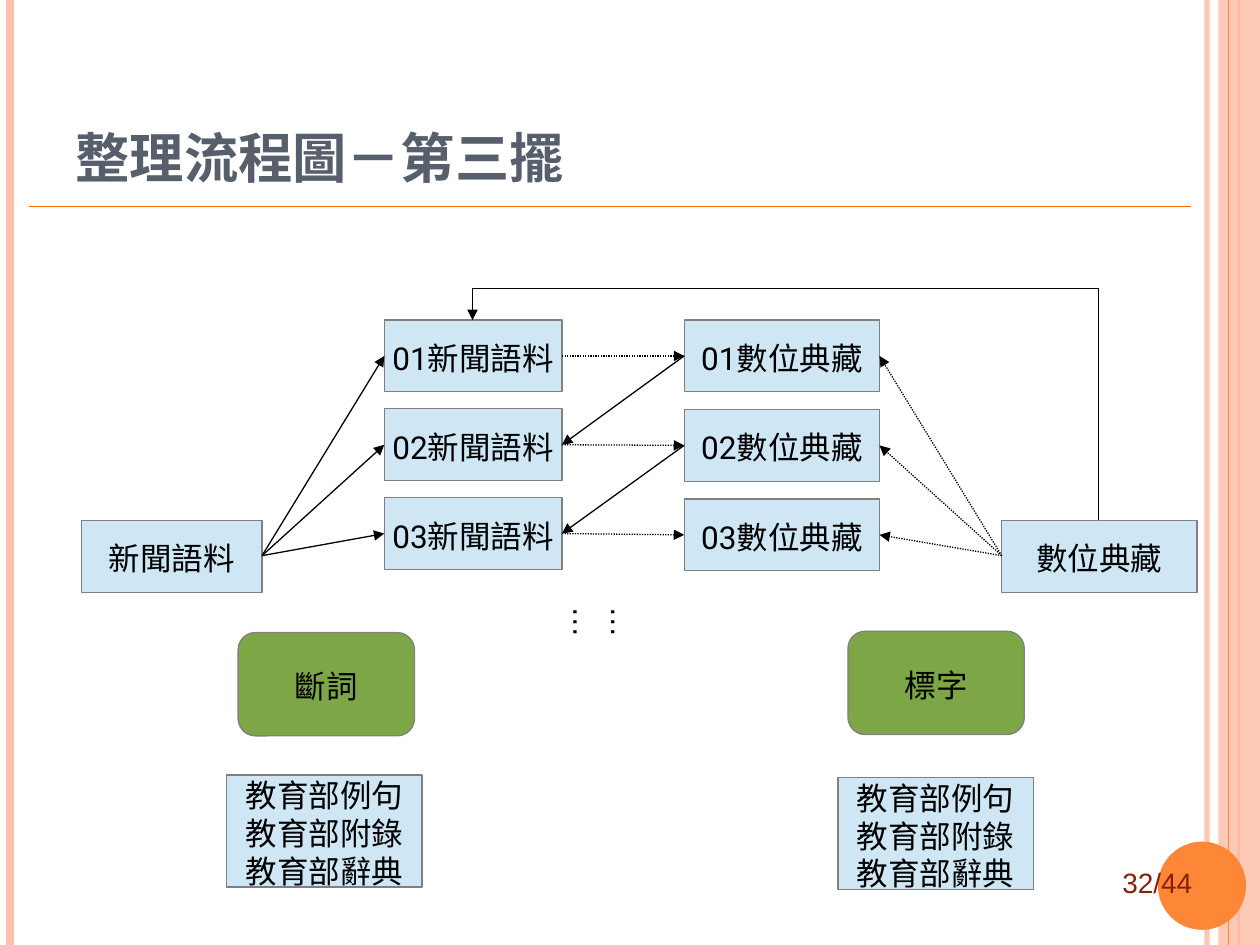
from lxml import etree
from pptx import Presentation
from pptx import util as u
from pptx.dml.color import RGBColor
from pptx.enum import dml, shapes, text
from pptx.oxml import ns

Inches = u.Inches
BLACK = RGBColor(0, 0, 0)
GREY = RGBColor(0x80, 0x80, 0x80)
SKY = RGBColor(0xCF, 0xE7, 0xF5)
GREEN = RGBColor(0x7D, 0xA6, 0x47)
PEACH = RGBColor(0xFE, 0xC3, 0xAE)
ORANGE = RGBColor(0xFE, 0x86, 0x37)
RULE = RGBColor(0xFF, 0x69, 0x03)
SLATE = RGBColor(0x57, 0x5F, 0x6D)
MAROON = RGBColor(0x86, 0x21, 0x10)

PROCESS = shapes.MSO_SHAPE.FLOWCHART_PROCESS
ROUNDED = shapes.MSO_SHAPE.FLOWCHART_ALTERNATE_PROCESS
BOX_HEIGHT = 0.57
THIN = 0.74
NEWS = [("新聞", "Arial"), ("語料", "Roboto")]
ARCHIVE = "數位典藏"
SOURCES = ["教育部例句", "教育部附錄", "教育部辭典"]


def child(parent, tag, **attributes):
    return etree.SubElement(parent, ns.qn(tag), **attributes)


def set_alpha(element, percent):
    color = next(element.iter(ns.qn("a:srgbClr")))
    child(color, "a:alpha", val=str(percent * 1000))


def add_span(para, words, font="Roboto", size=18, color=BLACK, bold=False):
    span = para.add_run()
    span.text = words
    span.font.name = font
    span.font.size = u.Pt(size)
    span.font.bold = bold
    span.font.color.rgb = color
    child(span.font._element, "a:ea", typeface=font)


def set_margins(frame, left, top, right, bottom):
    frame.margin_left, frame.margin_top = Inches(left), Inches(top)
    frame.margin_right, frame.margin_bottom = Inches(right), Inches(bottom)


def add_plain(page, kind, place, fill):
    shape = page.shapes.add_shape(kind, *map(Inches, place))
    shape.shadow.inherit = False
    shape.fill.solid()
    shape.fill.fore_color.rgb = fill
    shape.line.fill.background()
    return shape


def add_box(page, place, paras, kind=PROCESS, fill=SKY):
    """Each paragraph is a list of (words, font) pairs."""
    box = add_plain(page, kind, place, fill)
    box.line.color.rgb = GREY
    box.line.width = u.Pt(THIN)
    frame = box.text_frame
    frame.word_wrap = False
    frame.vertical_anchor = text.MSO_ANCHOR.MIDDLE
    set_margins(frame, 0.09, 0.07, 0.09, 0.04)
    for i, spans in enumerate(paras):
        para = frame.add_paragraph() if i else frame.paragraphs[0]
        para.alignment = text.PP_ALIGN.CENTER
        for words, font in spans:
            add_span(para, words, font)


def add_line(page, start, end, color=BLACK, width=THIN,
             kind=shapes.MSO_CONNECTOR.STRAIGHT):
    line = page.shapes.add_connector(kind, *map(Inches, start + end))
    line.line.color.rgb = color
    line.line.width = u.Pt(width)
    child(line._element.spPr, "a:effectLst")
    return line


def add_arrow(page, start, end, dotted=False, **options):
    arrow = add_line(page, start, end, **options)
    if dotted:
        arrow.line.dash_style = dml.MSO_LINE.ROUND_DOT
    child(arrow.line._get_or_add_ln(), "a:tailEnd", type="triangle")
    return arrow


def add_text(page, place, words, margins, **style):
    box = page.shapes.add_textbox(*map(Inches, place))
    box.text_frame.word_wrap = True
    set_margins(box.text_frame, *margins)
    add_span(box.text_frame.paragraphs[0], words, "Arial", **style)
    return box.text_frame


def add_frame(page):
    # Edge bands, title rule and page number
    set_alpha(add_line(page, (9.58, 0), (9.58, 7.5), PEACH, 3)._element, 93)
    add_line(page, (0.08, 0), (0.08, 7.5), PEACH, 4.51)
    add_line(page, (9.83, 0), (9.83, 7.5), ORANGE, 1.5)
    band = add_plain(page, shapes.MSO_SHAPE.RECTANGLE, (9.67, 0, 0.33, 7.5), PEACH)
    set_alpha(band._element, 87)
    add_line(page, (9.75, 0), (9.75, 7.5), ORANGE, THIN)
    add_line(page, (0.23, 1.64), (9.45, 1.64), RULE, 0.99)
    add_plain(page, shapes.MSO_SHAPE.OVAL, (9.19, 6.68, 0.7, 0.7), ORANGE)
    add_text(page, (8.81, 6.82, 1.19, 0.37), "32/44", (0.1, 0.05, 0.1, 0.05),
             size=16, color=MAROON)


def add_title(page, words):
    title = page.shapes.title
    title.left, title.top = Inches(0.5), Inches(0.3)
    title.width, title.height = Inches(8.64), Inches(1.25)
    frame = title.text_frame
    frame.vertical_anchor = text.MSO_ANCHOR.BOTTOM
    frame.auto_size = text.MSO_AUTO_SIZE.NONE
    set_margins(frame, 0.1, 0.05, 0.1, 0.05)
    frame.paragraphs[0].alignment = text.PP_ALIGN.LEFT
    add_span(frame.paragraphs[0], words, "Montserrat", 31, SLATE, True)


def add_return_arrow(page):
    # Elbow turned by 270 degrees, rising above its target
    arrow = add_arrow(page, (5.44, 5.82), (7.03, 0.85),
                      kind=shapes.MSO_CONNECTOR.ELBOW)
    properties = arrow._element.spPr
    properties.find(ns.qn("a:xfrm")).set("rot", "16200000")
    guides = next(properties.iter(ns.qn("a:avLst")))
    child(guides, "a:gd", name="adj1", fmla="val 115700")


def add_flow(page):
    # The two corpora and their numbered parts
    add_box(page, (0.65, 4.13, 1.43, BOX_HEIGHT), [NEWS])
    add_box(page, (7.95, 4.13, 1.55, BOX_HEIGHT), [[(ARCHIVE, "Roboto")]])
    news_out, archive_out = (2.08, 4.41), (7.95, 4.41)
    previous = None
    for i in range(3):
        number = f"{i + 1:02d}"
        news_top, archive_top = 2.54 + 0.705 * i, 2.54 + 0.71 * i
        add_box(page, (3.05, news_top, 1.41, BOX_HEIGHT),
                [[(number, "Roboto")] + NEWS])
        add_box(page, (5.43, archive_top, 1.55, BOX_HEIGHT),
                [[(number + ARCHIVE, "Roboto")]])
        news_y, archive_y = (top + BOX_HEIGHT / 2 for top in (news_top, archive_top))
        add_arrow(page, news_out, (3.05, news_y))
        add_arrow(page, archive_out, (6.98, archive_y), dotted=True)
        add_arrow(page, (4.46, news_y), (5.43, archive_y), dotted=True)
        if previous:
            add_arrow(page, previous, (4.46, news_y))
        previous = (5.43, archive_y)
    add_return_arrow(page)


def add_ellipsis(page):
    frame = add_text(page, (4.39, 4.72, 0.78, 0.58), "……",
                     (0.04, 0.09, 0.07, 0.09))
    frame._element.bodyPr.set("vert", "eaVert")
    frame.paragraphs[0]._p.get_or_add_pPr().set("rtl", "1")


def add_steps(page):
    # Processing steps with the reference sources below
    sources = [[(name, "Roboto")] for name in SOURCES]
    for words, left, top, source_left, source_top in (
            ("斷詞", 1.89, 5.02, 1.8, 6.15), ("標字", 6.73, 5.01, 6.65, 6.17)):
        add_box(page, (left, top, 1.4, 0.82), [[(words, "Roboto")]], ROUNDED, GREEN)
        add_box(page, (source_left, source_top, 1.55, 0.89), sources)


def main():
    deck = Presentation()
    deck.slide_width, deck.slide_height = Inches(10), Inches(7.5)
    page = deck.slides.add_slide(deck.slide_layouts.get_by_name("Title Only"))
    add_frame(page)
    add_title(page, "整理流程圖－第三擺")
    add_flow(page)
    add_ellipsis(page)
    add_steps(page)
    deck.save("out.pptx")


main()
